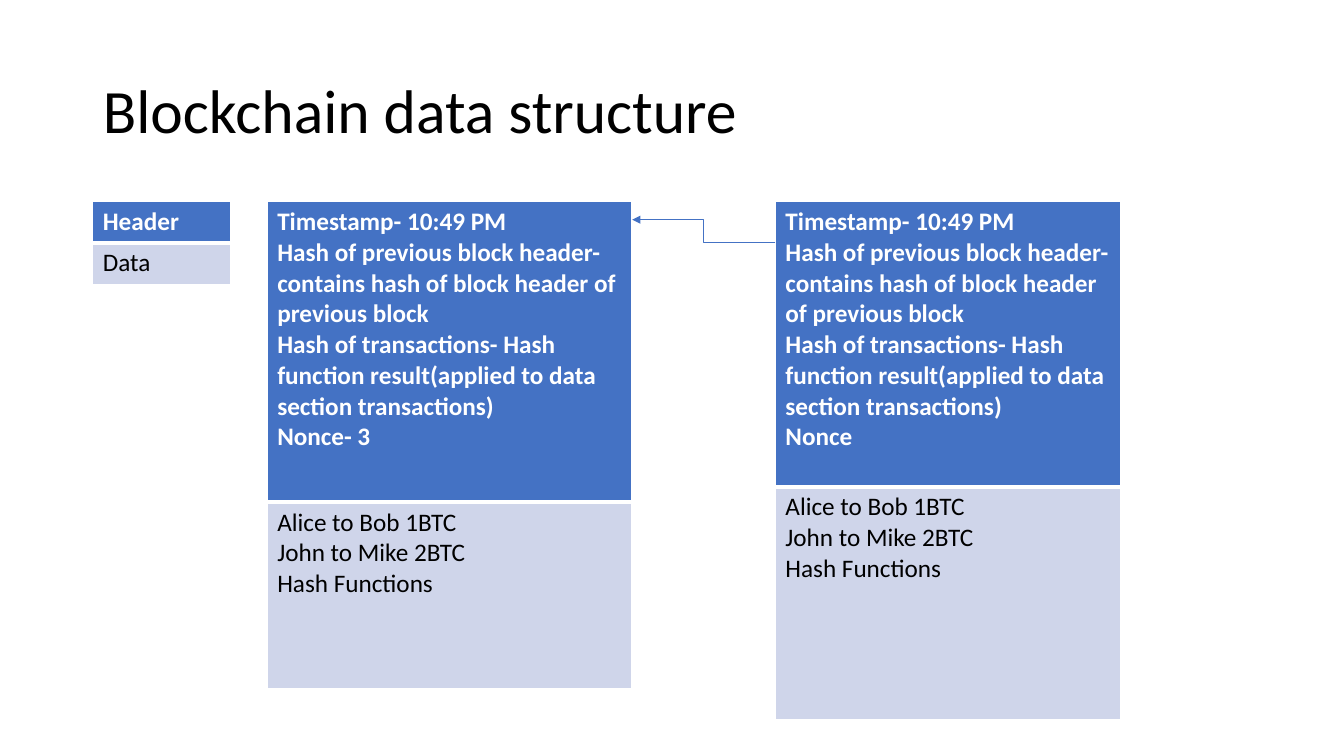
from dataclasses import dataclass

from lxml import etree
from pptx import Presentation
from pptx.dml.color import RGBColor
from pptx.enum.shapes import MSO_CONNECTOR
from pptx.enum.text import MSO_ANCHOR, PP_ALIGN
from pptx.oxml.ns import qn
from pptx.util import Pt

ELBOW = MSO_CONNECTOR.ELBOW
LEFT = PP_ALIGN.LEFT
MIDDLE = MSO_ANCHOR.MIDDLE

PX = 9144  # 100 px to the inch
TITLE_ONLY = 5


@dataclass(frozen=True)
class Theme:
    font: str = "Calibri"
    title_size: int = 44
    body_size: int = 18
    ink: str = "000000"
    white: str = "FFFFFF"
    header: str = "4472C4"
    data: str = "CFD5EA"
    thin: float = 1
    thick: float = 3
    arrow: float = 0.5


THEME = Theme()

TABLE_TOP = 200
HEADER_LINES = [
    "Timestamp- 10:49 PM",
    "Hash of previous block header- contains hash of block header of previous block",
    "Hash of transactions- Hash function result(applied to data section transactions)",
]
DATA_LINES = ["Alice to Bob 1BTC", "John to Mike 2BTC", "Hash Functions"]

# left, width, (header height, data height), header lines, data lines
TABLES = [
    (92, 137, (41, 41), ["Header"], ["Data"]),
    (265, 361, (298, 185), HEADER_LINES + ["Nonce- 3"], DATA_LINES),
    (769, 342, (283, 231), HEADER_LINES + ["Nonce"], DATA_LINES),
]


def px(*lengths):
    return [n * PX for n in lengths]


def write(tf, lines, size=THEME.body_size, color=THEME.ink, bold=False, spacing=None):
    """Fill a text frame with one paragraph per line."""
    for i, line in enumerate(lines):
        p = tf.paragraphs[0] if i == 0 else tf.add_paragraph()
        p.alignment = LEFT
        if spacing:
            p.line_spacing = spacing
        r = p.add_run()
        r.text = line
        r.font.name = THEME.font
        r.font.size = Pt(size)
        r.font.bold = bold
        r.font.color.rgb = RGBColor.from_string(color)


def add_title(s, text):
    sp = s.shapes.title
    sp.left, sp.top, sp.width, sp.height = px(92, 40, 1150, 145)
    sp.text_frame.vertical_anchor = MIDDLE
    write(sp.text_frame, [text], size=THEME.title_size, spacing=0.9)


def set_borders(cell, **widths):
    """Draw white cell borders; keys are the edges L, R, T, B."""
    tc_pr = cell._tc.get_or_add_tcPr()
    for edge, width in widths.items():
        ln = etree.SubElement(tc_pr, qn(f"a:ln{edge}"), w=str(Pt(width)))
        fill = etree.SubElement(ln, qn("a:solidFill"))
        etree.SubElement(fill, qn("a:srgbClr"), val=THEME.white)


def add_block(s, left, width, heights, header, data):
    """Add a one-column table: a header cell above a data cell."""
    frame = s.shapes.add_table(2, 1, *px(left, TABLE_TOP, width, sum(heights)))
    table = frame.table
    for row, height in zip(table.rows, heights):
        row.height = height * PX

    thin, thick = THEME.thin, THEME.thick
    cells = [
        (header, THEME.header, THEME.white, True, thin, thick),
        (data, THEME.data, THEME.ink, False, thick, thin),
    ]
    for i, (lines, fill, color, bold, top, bottom) in enumerate(cells):
        cell = table.cell(i, 0)
        set_borders(cell, L=thin, R=thin, T=top, B=bottom)
        cell.fill.solid()
        cell.fill.fore_color.rgb = RGBColor.from_string(fill)
        write(cell.text_frame, lines, color=color, bold=bold)


def add_arrow(s, start, end):
    """Add an elbow connector with an arrowhead at its end."""
    line = s.shapes.add_connector(ELBOW, *px(*start, *end))
    line.line.color.rgb = RGBColor.from_string(THEME.header)
    line.line.width = Pt(THEME.arrow)
    etree.SubElement(line.line._get_or_add_ln(), qn("a:tailEnd"), type="triangle")
    etree.SubElement(line._element.spPr, qn("a:effectLst"))


def main():
    prs = Presentation()
    prs.slide_width, prs.slide_height = px(1333, 750)
    s = prs.slides.add_slide(prs.slide_layouts[TITLE_ONLY])

    add_title(s, "Blockchain data structure")

    # Legend and the two blocks
    for block in TABLES:
        add_block(s, *block)

    # Link back to the previous block
    add_arrow(s, (769, 240), (627, 218))

    prs.save("out.pptx")


if __name__ == "__main__":
    main()
